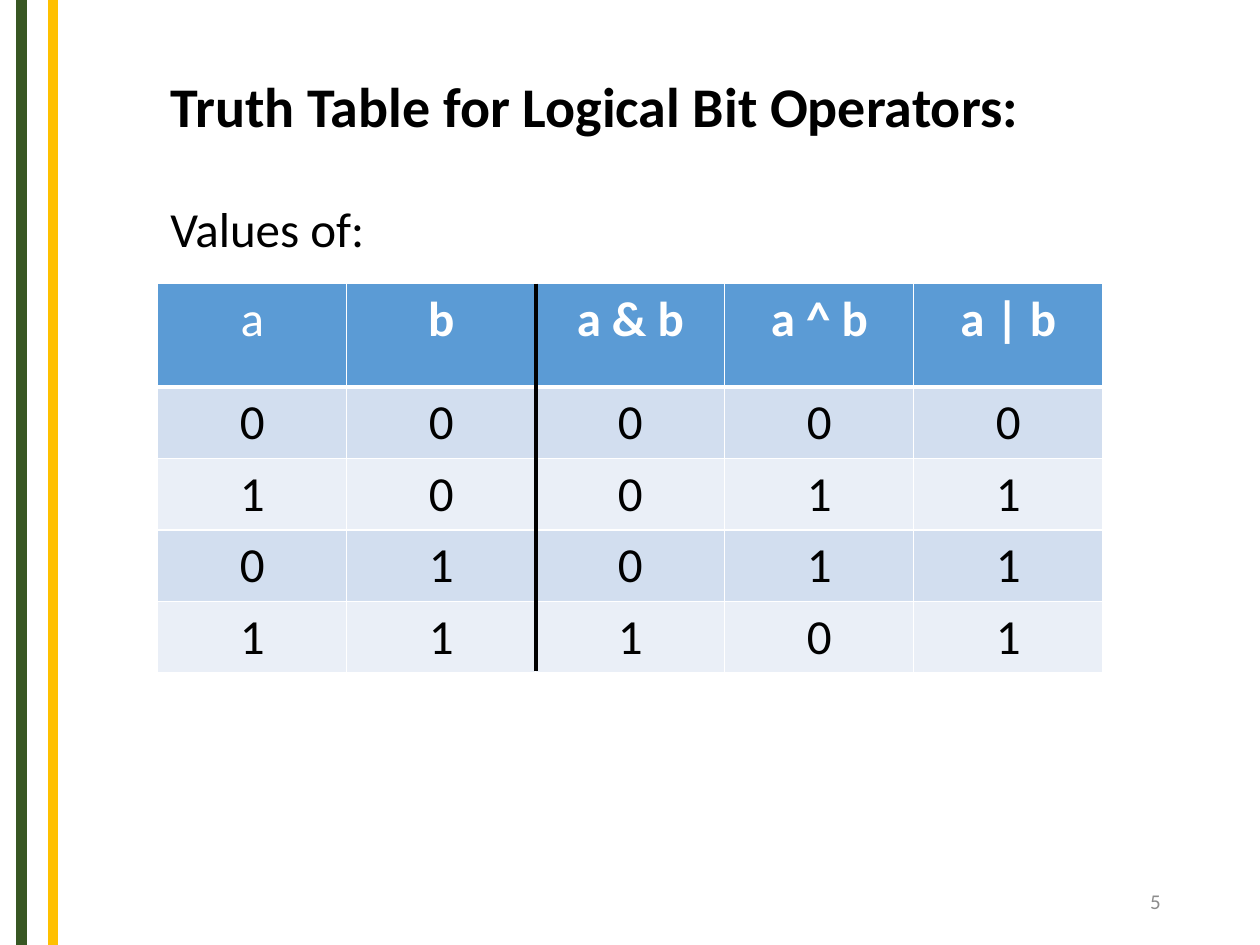
from dataclasses import dataclass

from lxml import etree
from pptx import Presentation
from pptx.dml.color import RGBColor
from pptx.enum.shapes import MSO_CONNECTOR
from pptx.enum.text import MSO_ANCHOR, MSO_AUTO_SIZE, PP_ALIGN
from pptx.oxml.ns import qn
from pptx.slide import Slide
from pptx.table import _Cell
from pptx.text.text import _Paragraph
from pptx.util import Cm, Pt

STRAIGHT = MSO_CONNECTOR.STRAIGHT
TOP, MIDDLE = MSO_ANCHOR.TOP, MSO_ANCHOR.MIDDLE
NO_AUTOFIT = MSO_AUTO_SIZE.NONE
LEFT, CENTER, RIGHT = PP_ALIGN.LEFT, PP_ALIGN.CENTER, PP_ALIGN.RIGHT
TITLE_ONLY = 5


@dataclass(frozen=True)
class Theme:
    font: str = "Calibri"
    black: str = "000000"
    white: str = "FFFFFF"
    gray: str = "8C8C8C"
    green: str = "385723"
    gold: str = "FFC000"
    header: str = "5B9BD5"
    bands: tuple[str, str] = ("D2DEEF", "EAEFF7")
    title_size: float = 32
    body_size: float = 28
    number_size: float = 12


@dataclass(frozen=True)
class Rule:
    x: float
    top: float
    bottom: float
    color: str
    weight: float


THEME = Theme()
SLIDE_WIDTH, SLIDE_HEIGHT = 25.4, 19.05
TABLE_LEFT, TABLE_TOP, TABLE_WIDTH = 3.18, 5.72, 19.05
HEADER_HEIGHT, ROW_HEIGHT = 2.08, 1.43
OPERANDS = ("a", "b")
HEADINGS = OPERANDS + ("a & b", "a ^ b", "a | b")
INPUTS = ((0, 0), (1, 0), (0, 1), (1, 1))
ROWS = [HEADINGS] + [(a, b, a & b, a ^ b, a | b) for a, b in INPUTS]
COLUMN_WIDTH = TABLE_WIDTH / len(HEADINGS)
TABLE_HEIGHT = HEADER_HEIGHT + ROW_HEIGHT * len(INPUTS)

STRIPES = (
    Rule(0.43, 0, SLIDE_HEIGHT, THEME.green, 6),
    Rule(1.07, 0, SLIDE_HEIGHT, THEME.gold, 6),
)
DIVIDER = Rule(
    TABLE_LEFT + COLUMN_WIDTH * len(OPERANDS),
    TABLE_TOP, TABLE_TOP + TABLE_HEIGHT, THEME.black, 2.25,
)


def style_paragraph(paragraph: _Paragraph, size: float, color: str,
                    align: PP_ALIGN, bold: bool = False) -> None:
    paragraph.alignment = align
    for run in paragraph.runs:
        run.font.name = THEME.font
        run.font.size = Pt(size)
        run.font.bold = bold
        run.font.color.rgb = RGBColor.from_string(color)


def draw_rule(slide: Slide, rule: Rule) -> None:
    x = Cm(rule.x)
    line = slide.shapes.add_connector(STRAIGHT, x, Cm(rule.top), x, Cm(rule.bottom))
    line.line.color.rgb = RGBColor.from_string(rule.color)
    line.line.width = Pt(rule.weight)
    etree.SubElement(line._element.spPr, qn("a:effectLst"))


def draw_heading(slide: Slide) -> None:
    title = slide.shapes.title
    title.left, title.top = Cm(3.18), Cm(1.32)
    title.width, title.height = Cm(19.05), Cm(4.01)
    frame = title.text_frame
    frame.text = "Truth Table for Logical Bit Operators:\nValues of:"
    frame.word_wrap = True
    frame.auto_size = NO_AUTOFIT
    frame.vertical_anchor = TOP
    heading, caption = frame.paragraphs
    style_paragraph(heading, THEME.title_size, THEME.black, LEFT, bold=True)
    style_paragraph(caption, THEME.body_size, THEME.black, LEFT)
    caption.space_before = Pt(34)


def draw_slide_number(slide: Slide, number: str) -> None:
    box = slide.shapes.add_textbox(Cm(17.93), Cm(17.65), Cm(5.72), Cm(1.02))
    frame = box.text_frame
    frame.text = number
    frame.word_wrap = True
    frame.vertical_anchor = MIDDLE
    style_paragraph(frame.paragraphs[0], THEME.number_size, THEME.gray, RIGHT)


def set_borders(cell: _Cell, top: float, bottom: float) -> None:
    properties = cell._tc.get_or_add_tcPr()
    weights = {"a:lnL": 1, "a:lnR": 1, "a:lnT": top, "a:lnB": bottom}
    for position, (tag, weight) in enumerate(weights.items()):
        border = etree.Element(qn(tag), w=str(Pt(weight)))
        fill = etree.SubElement(border, qn("a:solidFill"))
        etree.SubElement(fill, qn("a:srgbClr"), val=THEME.white)
        properties.insert(position, border)


def draw_truth_table(slide: Slide) -> None:
    table = slide.shapes.add_table(
        len(ROWS), len(HEADINGS), Cm(TABLE_LEFT), Cm(TABLE_TOP),
        Cm(TABLE_WIDTH), Cm(TABLE_HEIGHT),
    ).table
    for column in table.columns:
        column.width = Cm(COLUMN_WIDTH)
    for row_index, values in enumerate(ROWS):
        is_header = row_index == 0
        table.rows[row_index].height = Cm(HEADER_HEIGHT if is_header else ROW_HEIGHT)
        fill = THEME.header if is_header else THEME.bands[(row_index - 1) % 2]
        color = THEME.white if is_header else THEME.black
        for column_index, value in enumerate(values):
            cell = table.cell(row_index, column_index)
            cell.text_frame.text = str(value)
            style_paragraph(cell.text_frame.paragraphs[0], THEME.body_size, color,
                            CENTER, bold=is_header and column_index > 0)
            cell.fill.solid()
            cell.fill.fore_color.rgb = RGBColor.from_string(fill)
            set_borders(cell, top=3 if row_index == 1 else 1,
                        bottom=3 if is_header else 1)


def main() -> None:
    presentation = Presentation()
    presentation.slide_width = Cm(SLIDE_WIDTH)
    presentation.slide_height = Cm(SLIDE_HEIGHT)
    slide = presentation.slides.add_slide(presentation.slide_layouts[TITLE_ONLY])
    for stripe in STRIPES:
        draw_rule(slide, stripe)
    draw_slide_number(slide, "5")
    draw_heading(slide)
    draw_truth_table(slide)
    draw_rule(slide, DIVIDER)
    presentation.save("out.pptx")


if __name__ == "__main__":
    main()
